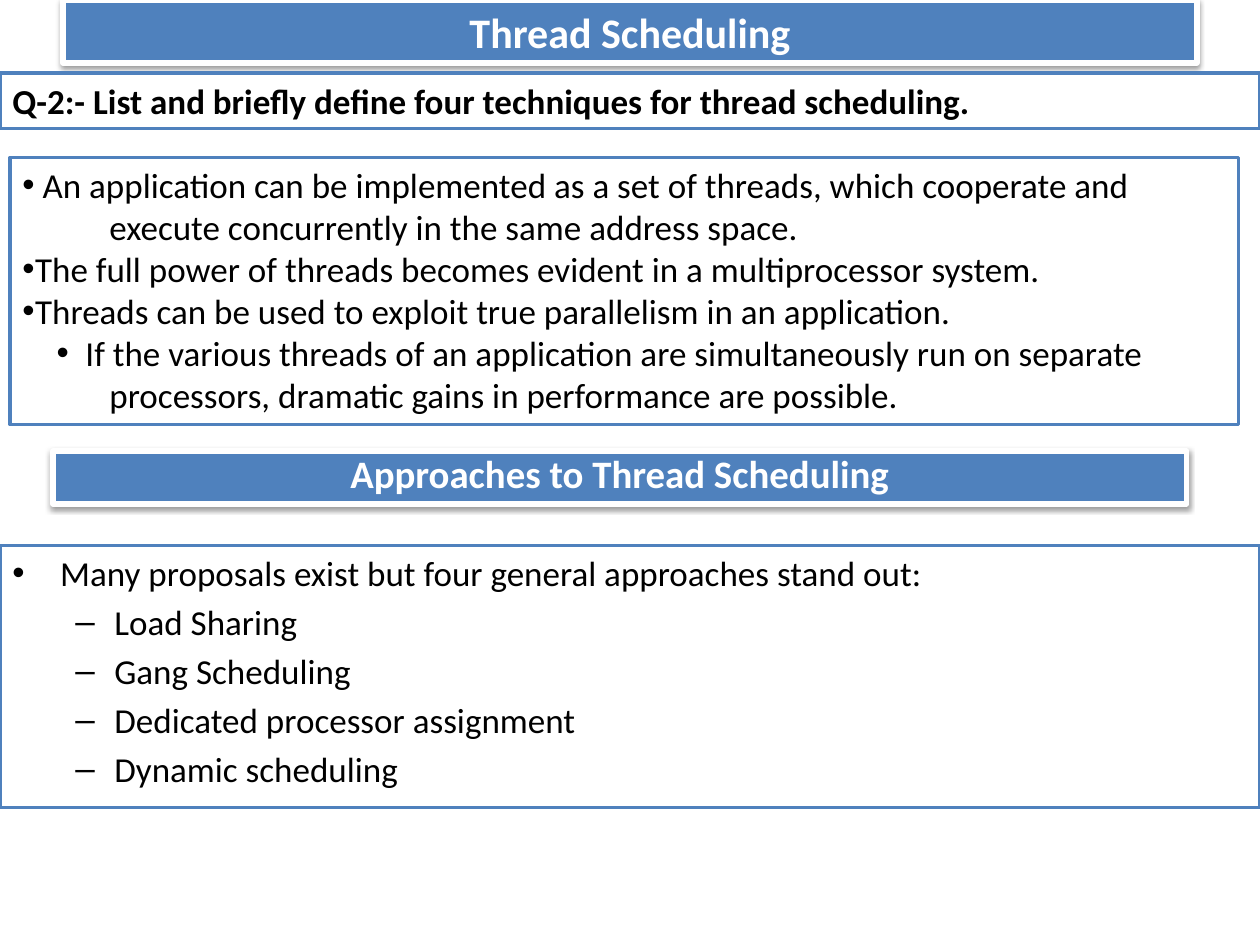
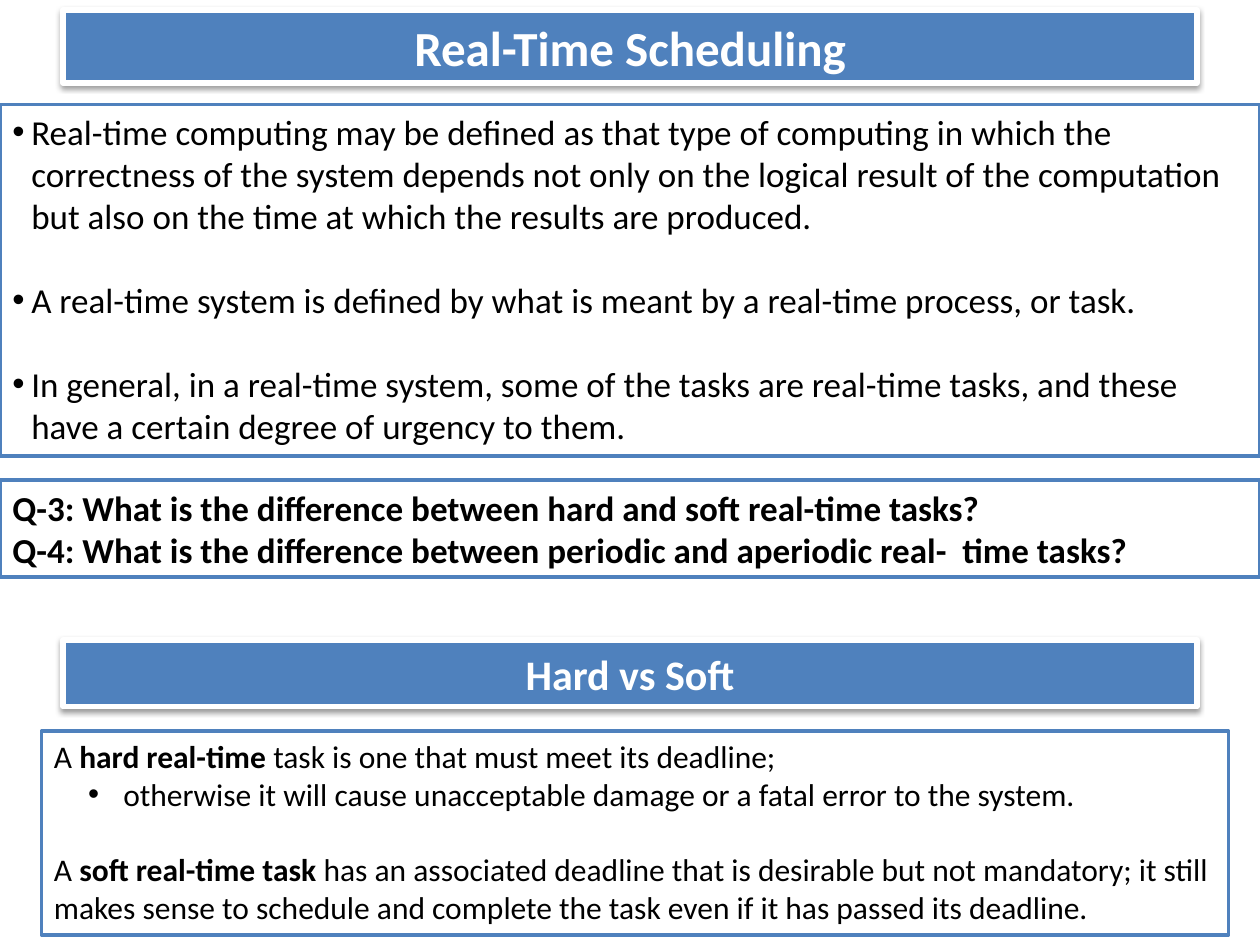
from typing import NamedTuple

from lxml.etree import SubElement
from pptx import Presentation
from pptx.dml.color import RGBColor
from pptx.enum.shapes import MSO_SHAPE as Shape
from pptx.enum.text import MSO_ANCHOR as Anchor, PP_ALIGN as Align
from pptx.oxml.ns import qn
from pptx.oxml.xmlchemy import OxmlElement
from pptx.util import Inches, Pt

COLORS = {"blue": "4F81BD", "white": "FFFFFF", "black": "000000"}
FONT = "Calibri"
BULLET, DASH = "•", "–"


class Box(NamedTuple):
    left: float
    top: float
    width: float
    height: float


class Run(NamedTuple):
    text: str
    bold: bool = False


class Para(NamedTuple):
    content: str | tuple[Run, ...]
    bullet: str = ""
    margin: float = 0
    hang: float = 0
    before: float = 0


class Bar(NamedTuple):
    box: Box
    title: str
    size: float = 24
    spacing: float = 1


class Panel(NamedTuple):
    box: Box
    paras: list[Para]
    size: float = 20
    bold: bool = False


def rgb(name: str) -> RGBColor:
    return RGBColor.from_string(COLORS[name])


def add_rect(s, box: Box, fill: str, line: str, weight: float):
    sp = s.shapes.add_shape(Shape.RECTANGLE, *map(Inches, box))
    sp.shadow.inherit = False
    sp.fill.solid()
    sp.fill.fore_color.rgb = rgb(fill)
    sp.line.color.rgb = rgb(line)
    sp.line.width = Pt(weight)
    sp.text_frame.word_wrap = True
    return sp


def set_font(p, size: float, color: str, bold: bool | None) -> None:
    font = p.font
    font.name, font.size, font.bold = FONT, Pt(size), bold
    font.color.rgb = rgb(color)


def add_shadow(sp) -> None:
    effects = sp._element.spPr.find(qn("a:effectLst"))
    shadow = SubElement(effects, qn("a:outerShdw"), blurRad=str(Pt(3.1)),
                        dist=str(Pt(1.6)), dir="5400000", rotWithShape="0")
    color = SubElement(shadow, qn("a:srgbClr"), val=COLORS["black"])
    SubElement(color, qn("a:alpha"), val="38000")


def set_bullet(p, para: Para) -> None:
    pPr = p._p.get_or_add_pPr()
    pPr.set("marL", str(Inches(para.margin)))
    pPr.set("indent", str(-Inches(para.hang)))
    if para.bullet:
        for tag, key, value in (("a:buFont", "typeface", "Arial"),
                                ("a:buChar", "char", para.bullet)):
            el = OxmlElement(tag)
            el.set(key, value)
            pPr.insert_element_before(el, "a:tabLst", "a:defRPr", "a:extLst")


def draw_bar(s, bar: Bar) -> None:
    sp = add_rect(s, bar.box, "blue", "white", 3)
    add_shadow(sp)
    tf = sp.text_frame
    tf.vertical_anchor = Anchor.MIDDLE
    p = tf.paragraphs[0]
    p.text = bar.title
    p.alignment = Align.CENTER
    p.line_spacing = bar.spacing
    set_font(p, bar.size, "white", True)


def draw_panel(s, panel: Panel) -> None:
    tf = add_rect(s, panel.box, "white", "blue", 2).text_frame
    tf.vertical_anchor = Anchor.TOP
    for i, para in enumerate(panel.paras):
        p = tf.paragraphs[0] if i == 0 else tf.add_paragraph()
        p.alignment = Align.LEFT
        p.space_before = Pt(para.before)
        if isinstance(para.content, str):
            p.text = para.content
            set_font(p, panel.size, "black", panel.bold)
        else:
            set_font(p, panel.size, "black", None)
            for run in para.content:
                r = p.add_run()
                r.text, r.font.bold = run
        set_bullet(p, para)


def approach(text: str) -> Para:
    return Para(text, DASH, 0.81, 0.31, before=4)


THREAD_SCHEDULING = [
    Bar(Box(0.5, 0, 9, 0.5), "Thread Scheduling"),
    Panel(Box(0, 0.58, 10, 0.44), [
        Para("Q-2:- List and briefly define four techniques for thread scheduling."),
    ], bold=True),
    Panel(Box(0.08, 1.25, 9.75, 2.12), [
        Para("An application can be implemented as a set of threads, which cooperate and",
             BULLET, 0.16, 0.16),
        Para("execute concurrently in the same address space.", margin=0.69),
        Para("The full power of threads becomes evident in a multiprocessor system.",
             BULLET, 0.1, 0.1),
        Para("Threads can be used to exploit true parallelism in an application.",
             BULLET, 0.1, 0.1),
        Para("If the various threads of an application are simultaneously run on separate",
             BULLET, 0.5, 0.23),
        Para("processors, dramatic gains in performance are possible.", margin=0.69),
    ]),
    Bar(Box(0.42, 3.58, 9, 0.42), "Approaches to Thread Scheduling", 22.2, 0.8),
    Panel(Box(0, 4.33, 10, 2.08), [
        Para("Many proposals exist but four general approaches stand out:",
             BULLET, 0.38, 0.38, before=4),
        *map(approach, ("Load Sharing", "Gang Scheduling",
                        "Dedicated processor assignment", "Dynamic scheduling")),
    ]),
]

REAL_TIME_SCHEDULING = [
    Bar(Box(0.5, 0.08, 9, 0.58), "Real-Time Scheduling", 28),
    Panel(Box(0, 0.83, 10, 2.79), [
        Para("Real-time computing may be defined as that type of computing in which the "
             "correctness of the system depends not only on the logical result of the "
             "computation but also on the time at which the results are produced.",
             BULLET, 0.15, 0.15),
        Para("A real-time system is defined by what is meant by a real-time process, or task.",
             BULLET, 0.15, 0.15, before=24),
        Para("In general, in a real-time system, some of the tasks are real-time tasks, "
             "and these have a certain degree of urgency to them.",
             BULLET, 0.15, 0.15, before=24),
    ]),
    Panel(Box(0, 3.81, 10, 0.77), [
        Para("Q-3: What is the difference between hard and soft real-time tasks?"),
        Para("Q-4: What is the difference between periodic and aperiodic real-  time tasks?"),
    ], bold=True),
    Bar(Box(0.5, 5.08, 9, 0.53), "Hard vs Soft"),
    Panel(Box(0.33, 5.8, 9.42, 1.62), [
        Para((Run("A "), Run("hard real-time ", True),
              Run("task is one that must meet its deadline;"))),
        Para("otherwise it will cause unacceptable damage or a fatal error to the system.",
             BULLET, 0.55, 0.28),
        Para((Run("A "), Run("soft real-time task", True),
              Run(" has an associated deadline that is desirable but not mandatory; "
                  "it still makes sense to schedule and complete the task even if it "
                  "has passed its deadline.")), before=21.6),
    ], size=18),
]


def main() -> None:
    prs = Presentation()
    prs.slide_width, prs.slide_height = Inches(10), Inches(7.5)
    for items in (THREAD_SCHEDULING, REAL_TIME_SCHEDULING):
        s = prs.slides.add_slide(prs.slide_layouts[6])
        for item in items:
            if isinstance(item, Bar):
                draw_bar(s, item)
            else:
                draw_panel(s, item)
    prs.save("out.pptx")


if __name__ == "__main__":
    main()
